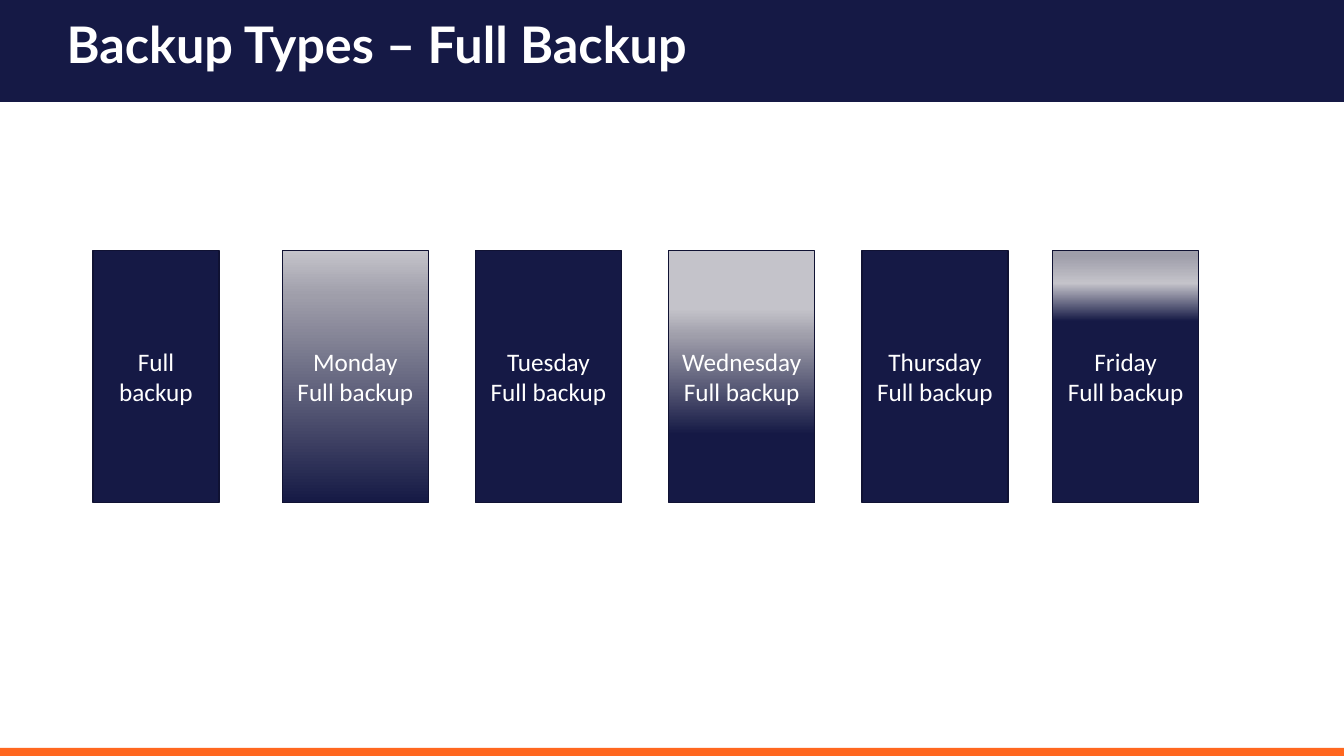
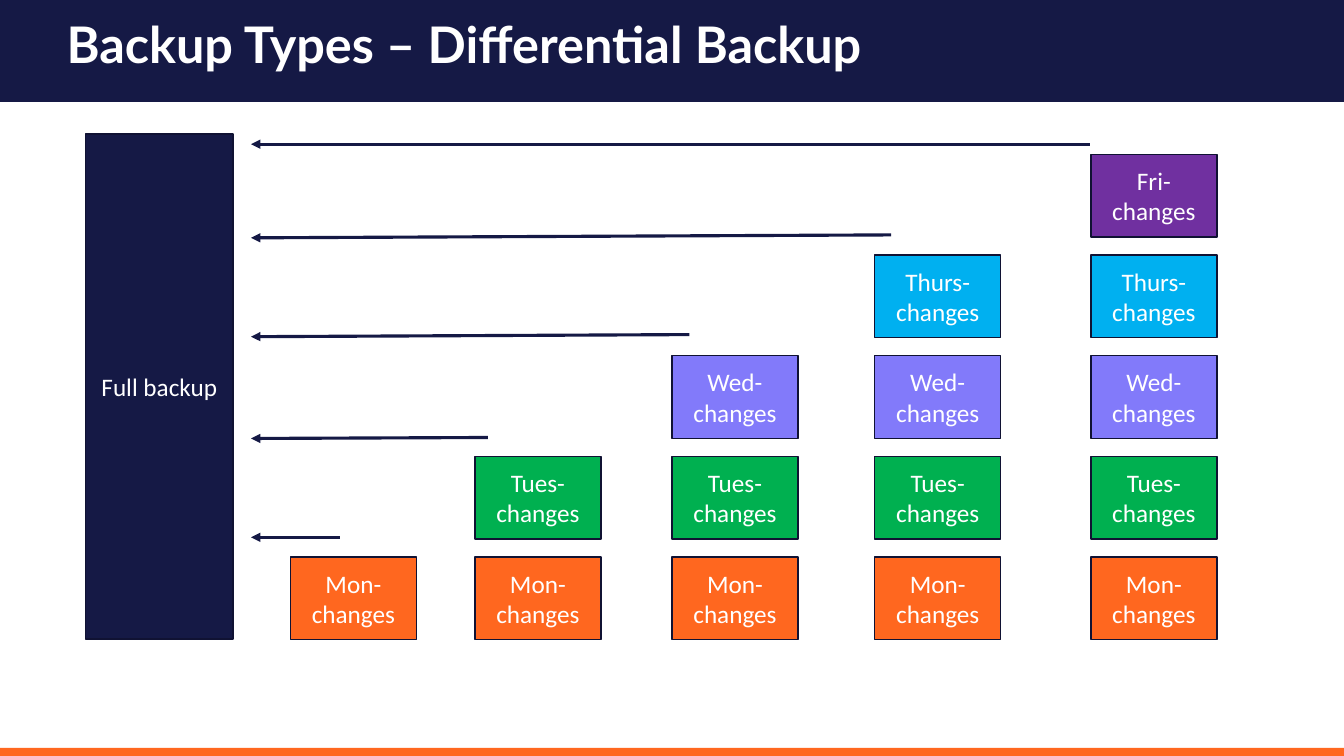
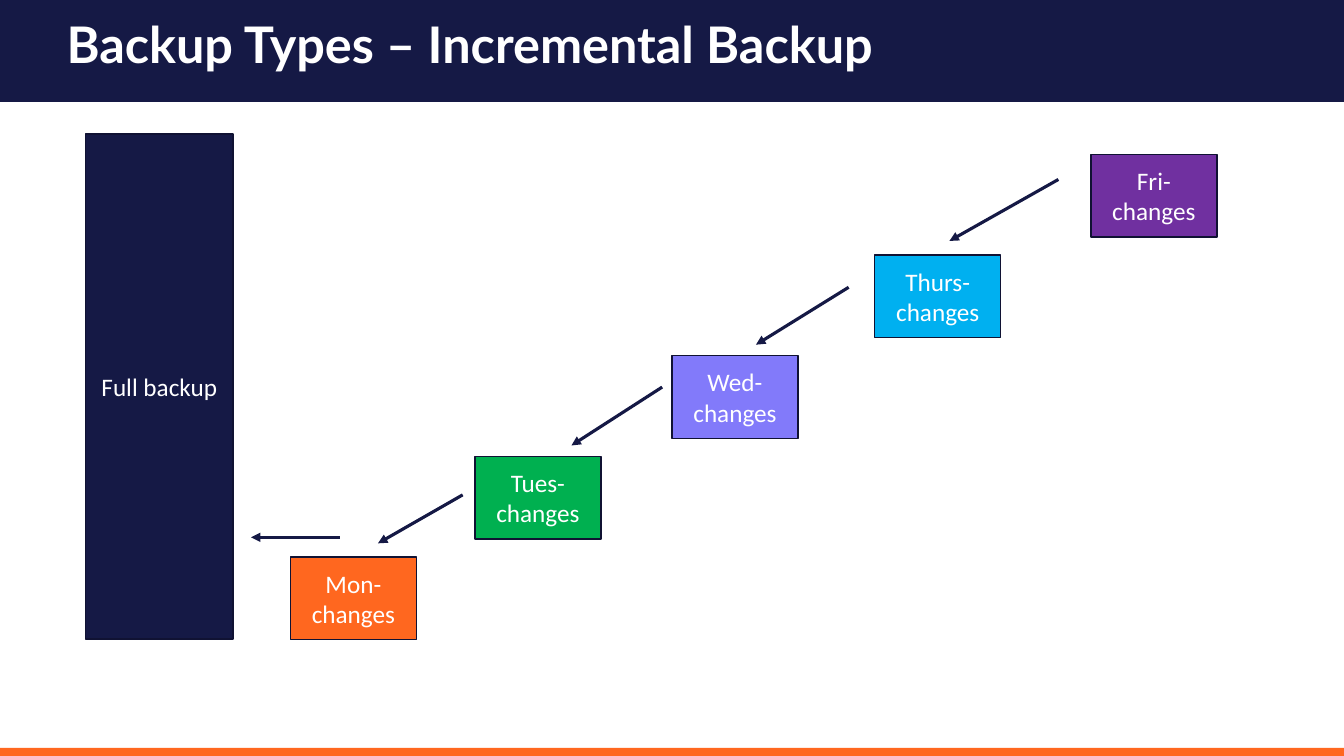
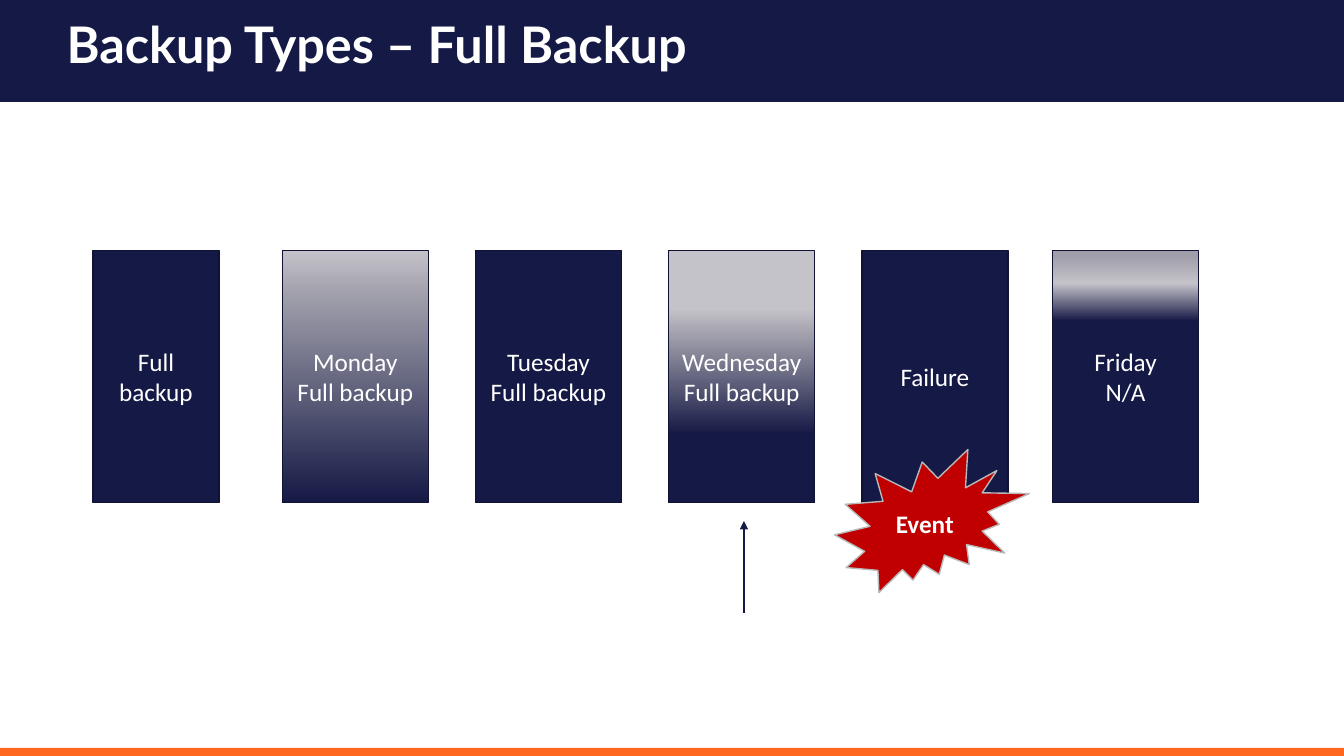
from dataclasses import dataclass

from lxml.etree import SubElement
from pptx import Presentation
from pptx.dml.color import RGBColor
from pptx.enum.shapes import MSO_CONNECTOR, MSO_SHAPE
from pptx.enum.text import MSO_ANCHOR, MSO_AUTO_SIZE, PP_ALIGN
from pptx.oxml.ns import qn
from pptx.util import Pt


@dataclass(frozen=True)
class Theme:
    navy: str = "151945"
    outline: str = "101233"
    orange: str = "FF671F"
    green: str = "00B050"
    violet: str = "827AFA"
    sky: str = "00B0F0"
    purple: str = "7030A0"
    red: str = "C00000"
    silver: str = "B8B8B9"
    mist: str = "C4C3CA"
    haze: str = "9F9EAA"
    white: str = "FFFFFF"
    title_font: str = "Lato"
    body_font: str = "Calibri"
    title_size: int = 36
    body_size: int = 18


@dataclass(frozen=True)
class Box:
    x: float
    y: float
    w: float
    h: float

    def inner(self, x, y, w, h):
        return Box(self.x + x, self.y + y, w, h)

    def emu(self):
        return Pt(self.x), Pt(self.y), Pt(self.w), Pt(self.h)


T = Theme()
PAGE = Box(0, 0, 960, 540)
HEADER = Box(0, 0, 960, 72.7)
FOOTER = Box(0, 534.2, 960, 5.8)
TITLE = Box(40.3, 0, 880, 67.7)
WEEK = Box(66.4, 179, 790, 180)
STAGE = Box(61.2, 95.8, 816, 360.7)

SOLID = ((0, T.navy),)
MONDAY_FADE = ((0, T.navy), (82, T.haze), (100, T.mist))
WEDNESDAY_FADE = ((27, T.navy), (66, T.haze), (77, T.mist))
FRIDAY_FADE = ((72, T.navy), (87, T.mist), (98, T.haze))
DAY_FILLS = (SOLID, MONDAY_FADE, SOLID, WEDNESDAY_FADE, SOLID, FRIDAY_FADE)
DAY_LEFTS = (0, 135.2, 273.2, 411.2, 549.2, 685.4)

CHANGES = (("Mon", T.orange), ("Tues", T.green), ("Wed", T.violet),
           ("Thurs", T.sky), ("Fri", T.purple))
CHANGE_LEFTS = (146.2, 278, 418.8, 563.6, 718)
CHANGE_BASE, CHANGE_PITCH = 302, 71.9

FULL_EDGE = 118.1
MONDAY_ARROW = (181.4, 288, FULL_EDGE, 288)
DIFFERENTIAL_ARROWS = (
    MONDAY_ARROW,
    (287.3, 216.7, FULL_EDGE, 217.4),
    (431.3, 143.2, FULL_EDGE, 144.7),
    (575.3, 72, FULL_EDGE, 74.1),
    (717.1, 7.2, FULL_EDGE, 7.2),
)
INCREMENTAL_ARROWS = (
    MONDAY_ARROW,
    (269.3, 257.7, 208.8, 292.3),
    (411.8, 180.7, 347, 222.4),
    (545, 109.4, 478.8, 150.4),
    (694.8, 32.4, 617, 76.3),
)


def rgb(color):
    return RGBColor.from_string(color)


def set_font(p, name, size, bold=False):
    p.font.name, p.font.size, p.font.bold = name, Pt(size), bold
    p.font.color.rgb = rgb(T.white)


def set_fill(sp, stops):
    if len(stops) == 1:
        sp.fill.solid()
        sp.fill.fore_color.rgb = rgb(stops[0][1])
        return
    sp.fill.gradient()
    sp.fill.gradient_angle = 90
    stop_list = sp._element.spPr.find(qn("a:gradFill")).find(qn("a:gsLst"))
    stop_list.clear()
    for pos, color in stops:
        gs = SubElement(stop_list, qn("a:gs"), pos=str(pos * 1000))
        SubElement(gs, qn("a:srgbClr"), val=color)


def add_block(s, box, lines, stops, line=T.outline,
              kind=MSO_SHAPE.RECTANGLE, bold=False):
    sp = s.shapes.add_shape(kind, *box.emu())
    sp.shadow.inherit = False
    set_fill(sp, stops)
    sp.line.color.rgb = rgb(line)
    sp.line.width = Pt(1)
    tf = sp.text_frame
    tf.word_wrap = True
    tf.vertical_anchor = MSO_ANCHOR.MIDDLE
    tf.text = "\n".join(lines)
    for p in tf.paragraphs:
        p.alignment = PP_ALIGN.CENTER
        set_font(p, T.body_font, T.body_size, bold)


def add_arrow(s, box, ends, width=2.25):
    x1, y1, x2, y2 = ends
    cx = s.shapes.add_connector(MSO_CONNECTOR.STRAIGHT,
                                Pt(box.x + x1), Pt(box.y + y1),
                                Pt(box.x + x2), Pt(box.y + y2))
    cx.line.color.rgb = rgb(T.navy)
    cx.line.width = Pt(width)
    props = cx._element.spPr
    SubElement(props.find(qn("a:ln")), qn("a:tailEnd"), type="triangle")
    SubElement(props, qn("a:effectLst"))


def add_layout_bands(layout, s):
    for i, (box, color) in enumerate(((HEADER, T.navy), (FOOTER, T.orange))):
        sp = s.shapes.add_shape(MSO_SHAPE.RECTANGLE, *box.emu())
        sp.shadow.inherit = False
        set_fill(sp, ((0, color),))
        sp.line.fill.background()
        layout.shapes._spTree.insert(2 + i, sp._element)


def add_titled_slide(prs, layout, title):
    s = prs.slides.add_slide(layout)
    sp = s.shapes.title
    sp.left, sp.top, sp.width, sp.height = TITLE.emu()
    tf = sp.text_frame
    tf.text = title
    tf.word_wrap = True
    tf.auto_size = MSO_AUTO_SIZE.NONE
    tf.vertical_anchor = MSO_ANCHOR.MIDDLE
    p = tf.paragraphs[0]
    p.alignment = PP_ALIGN.LEFT
    p.line_spacing = 0.9
    set_font(p, T.title_font, T.title_size, True)
    return s


def draw_week(s, box, labels):
    for i, (left, lines, stops) in enumerate(zip(DAY_LEFTS, labels, DAY_FILLS)):
        width = 104.4 if i else 90
        add_block(s, box.inner(left, 0, width, box.h), lines, stops)


def draw_failure(s, box):
    add_block(s, box.inner(529.8, 142.1, 139, 102.2), ["Event"],
              ((0, T.red),), T.silver, MSO_SHAPE.EXPLOSION2, True)
    add_arrow(s, box, (465, 258.8, 465, 193.2), 1.5)


def draw_changes(s, box, cumulative, arrows):
    for col, left in enumerate(CHANGE_LEFTS):
        for row in range(0 if cumulative else col, col + 1):
            day, color = CHANGES[row]
            top = CHANGE_BASE - row * CHANGE_PITCH
            add_block(s, box.inner(left, top, 90, 59.2), [f"{day}-changes"],
                      ((0, color),))
    add_block(s, box.inner(0, 0, 105.2, box.h), ["Full backup"], SOLID)
    for ends in arrows:
        add_arrow(s, box, ends)


def main():
    prs = Presentation()
    prs.slide_width, prs.slide_height = Pt(PAGE.w), Pt(PAGE.h)
    layout = prs.slide_layouts[5]

    s = add_titled_slide(prs, layout, "Backup Types – Full Backup")
    add_layout_bands(layout, s)
    full = "Full backup"
    draw_week(s, WEEK, ([full], ["Monday", full], ["Tuesday", full],
                        ["Wednesday", full], ["Thursday", full],
                        ["Friday", full]))

    s = add_titled_slide(prs, layout, "Backup Types – Differential Backup")
    draw_changes(s, STAGE, True, DIFFERENTIAL_ARROWS)

    s = add_titled_slide(prs, layout, "Backup Types – Incremental Backup")
    draw_changes(s, STAGE, False, INCREMENTAL_ARROWS)

    s = add_titled_slide(prs, layout, "Backup Types – Full Backup")
    draw_week(s, WEEK, ([full], ["Monday", full], ["Tuesday", full],
                        ["Wednesday", full], ["Failure"], ["Friday", "N/A"]))
    draw_failure(s, WEEK)

    prs.save("out.pptx")


if __name__ == "__main__":
    main()
